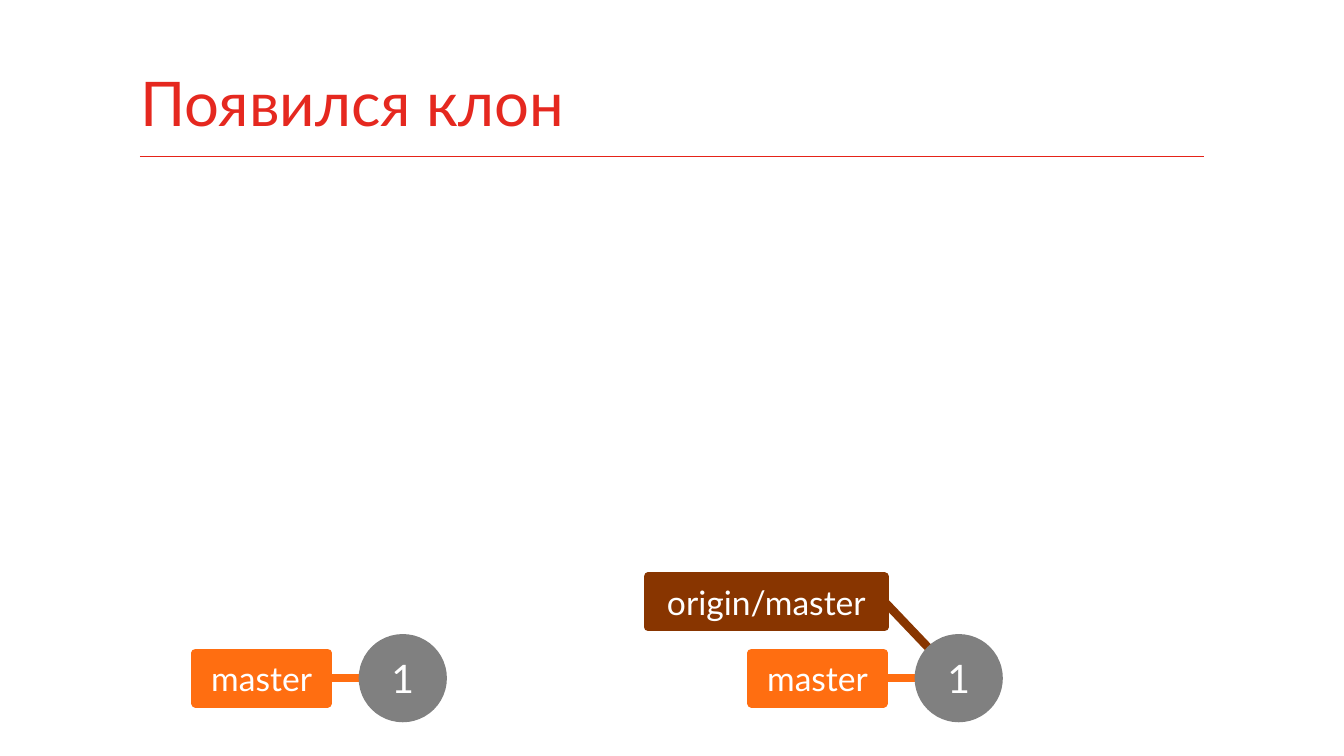
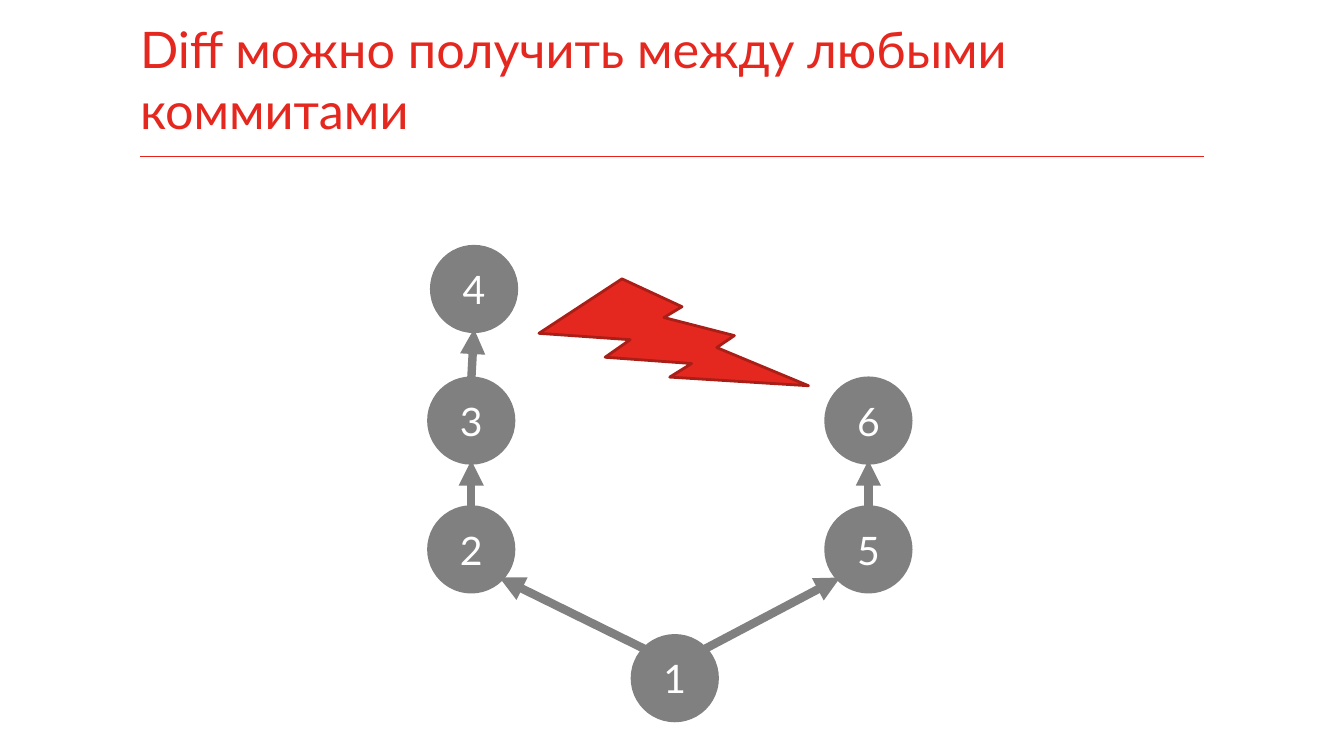
from dataclasses import dataclass
from math import cos, radians, sin

from lxml.etree import SubElement
from pptx import Presentation
from pptx.dml.color import RGBColor
from pptx.enum.shapes import MSO_CONNECTOR, MSO_SHAPE
from pptx.enum.text import MSO_ANCHOR, MSO_AUTO_SIZE, PP_ALIGN
from pptx.oxml.ns import qn
from pptx.util import Pt


@dataclass(frozen=True)
class Theme:
    font: str = "Lato"
    title: RGBColor = RGBColor(0xE5, 0x28, 0x1F)
    rule: RGBColor = RGBColor(0xE5, 0x23, 0x19)
    commit: RGBColor = RGBColor(0x80, 0x80, 0x80)
    branch: RGBColor = RGBColor(0xFF, 0x6E, 0x11)
    remote: RGBColor = RGBColor(0x88, 0x35, 0x00)
    bolt_edge: RGBColor = RGBColor(0xA9, 0x1E, 0x17)
    white: RGBColor = RGBColor(0xFF, 0xFF, 0xFF)
    title_size: int = 44
    long_title_size: int = 36
    commit_size: int = 28
    label_size: int = 24
    stroke: int = 6


THEME = Theme()
TITLE_BOX = (100, 26, 760, 85)
RULE_Y = 111.6
DIAMETER = 57
LABEL_HEIGHT = 36
BASE_Y = 484.4
RECT_RIGHT = 3
ELLIPSE_SITES = {180: 2, 135: 3, 90: 4, 45: 5, 0: 6, -45: 7, -90: 0, -135: 1}


def style_text(frame, size, color, align):
    for paragraph in frame.paragraphs:
        paragraph.alignment = align
        for run in paragraph.runs:
            run.font.name = THEME.font
            run.font.size = Pt(size)
            run.font.color.rgb = color


def add_figure(slide, preset, box, fill, edge, width):
    figure = slide.shapes.add_shape(preset, *map(Pt, box))
    figure.shadow.inherit = False
    figure.fill.solid()
    figure.fill.fore_color.rgb = fill
    figure.line.color.rgb = edge
    figure.line.width = Pt(width)
    return figure


def add_line(slide, start, end, color, width, arrow=False):
    line = slide.shapes.add_connector(MSO_CONNECTOR.STRAIGHT, *map(Pt, (*start, *end)))
    line.line.color.rgb = color
    line.line.width = Pt(width)
    if arrow:
        SubElement(line.line._get_or_add_ln(), qn("a:tailEnd"), type="triangle")
    SubElement(line._element.spPr, qn("a:effectLst"))
    return line


def add_link(slide, start, end, color, arrow=False):
    (source, source_site, source_point), (target, target_site, target_point) = start, end
    link = add_line(slide, source_point, target_point, color, THEME.stroke, arrow)
    ends = link._element.find(f".//{qn('p:cNvCxnSpPr')}")
    SubElement(ends, qn("a:stCxn"), id=str(source.shape_id), idx=str(source_site))
    SubElement(ends, qn("a:endCxn"), id=str(target.shape_id), idx=str(target_site))
    slide.shapes._spTree.insert(2, link._element)


def add_commit(slide, number, center):
    x, y = center
    radius = DIAMETER / 2
    commit = add_figure(slide, MSO_SHAPE.OVAL, (x - radius, y - radius, DIAMETER, DIAMETER),
                        THEME.commit, THEME.commit, THEME.stroke)
    commit.text_frame.text = str(number)
    commit.text_frame.vertical_anchor = MSO_ANCHOR.MIDDLE
    style_text(commit.text_frame, THEME.commit_size, THEME.white, PP_ALIGN.CENTER)

    def rim(angle):
        turn = radians(angle)
        point = (x + radius * cos(turn), y + radius * sin(turn))
        return commit, ELLIPSE_SITES[angle], point

    return rim


def add_label(slide, name, right, middle, width, color):
    box = (right - width, middle - LABEL_HEIGHT / 2, width, LABEL_HEIGHT)
    label = add_figure(slide, MSO_SHAPE.RECTANGLE, box, color, color, THEME.stroke)
    label.text_frame.text = name
    label.text_frame.word_wrap = True
    label.text_frame.vertical_anchor = MSO_ANCHOR.TOP
    label.text_frame.auto_size = MSO_AUTO_SIZE.SHAPE_TO_FIT_TEXT
    style_text(label.text_frame, THEME.label_size, THEME.white, PP_ALIGN.CENTER)
    return label, RECT_RIGHT, (right, middle)


def add_titled_slide(deck, heading, size):
    slide = deck.slides.add_slide(deck.slide_layouts[5])
    left, top, width, height = TITLE_BOX
    title = slide.shapes.title
    title.left, title.top, title.width, title.height = map(Pt, TITLE_BOX)
    frame = title.text_frame
    frame.text = heading
    frame.word_wrap = True
    frame.auto_size = MSO_AUTO_SIZE.NONE
    frame.vertical_anchor = MSO_ANCHOR.BOTTOM
    frame.margin_left = frame.margin_right = 0
    frame.margin_top, frame.margin_bottom = Pt(3.6), Pt(11.5)
    style_text(frame, size, THEME.title, PP_ALIGN.LEFT)
    add_line(slide, (left, RULE_Y), (left + width, RULE_Y), THEME.rule, 0.75)
    return slide


def add_repository(slide, left, middle, cloned=False):
    label_width = 94.3
    right = left + label_width
    rim = add_commit(slide, 1, (left + 148, middle))
    master = add_label(slide, "master", right, middle, label_width, THEME.branch)
    add_link(slide, rim(180), master, THEME.branch)
    if cloned:
        origin = add_label(slide, "origin/master", right + 0.8, middle - 54.5, 169, THEME.remote)
        add_link(slide, rim(-135), origin, THEME.remote)


def add_history(slide, left, base):
    right, row = left + 283.7, 92
    centers = {
        1: (left + 145.4, base),
        2: (left, base - row),
        3: (left, base - 2 * row),
        4: (left + 2, base - 3 * row - 2),
        5: (right, base - row),
        6: (right, base - 2 * row),
    }
    rims = {number: add_commit(slide, number, center) for number, center in centers.items()}
    for parent, leave, child, arrive in (
        (1, -135, 2, 45),
        (2, -90, 3, 90),
        (3, -90, 4, 90),
        (1, -45, 5, 135),
        (5, -90, 6, 90),
    ):
        add_link(slide, rims[parent](leave), rims[child](arrive), THEME.commit, arrow=True)
    diff = add_figure(slide, MSO_SHAPE.LIGHTNING_BOLT, (left + 55, base - 293, 173.5, 111.6),
                      THEME.title, THEME.bolt_edge, 2)
    diff.rotation = 343.2


def main():
    deck = Presentation()
    deck.slide_width, deck.slide_height = Pt(960), Pt(540)

    clone = add_titled_slide(deck, "Появился клон", THEME.title_size)
    add_repository(clone, 139.7, BASE_Y)
    add_repository(clone, 536.8, BASE_Y, cloned=True)

    diff = add_titled_slide(deck, "Diff можно получить между любыми коммитами", THEME.long_title_size)
    add_history(diff, 336.6, BASE_Y)

    deck.save("out.pptx")


if __name__ == "__main__":
    main()
